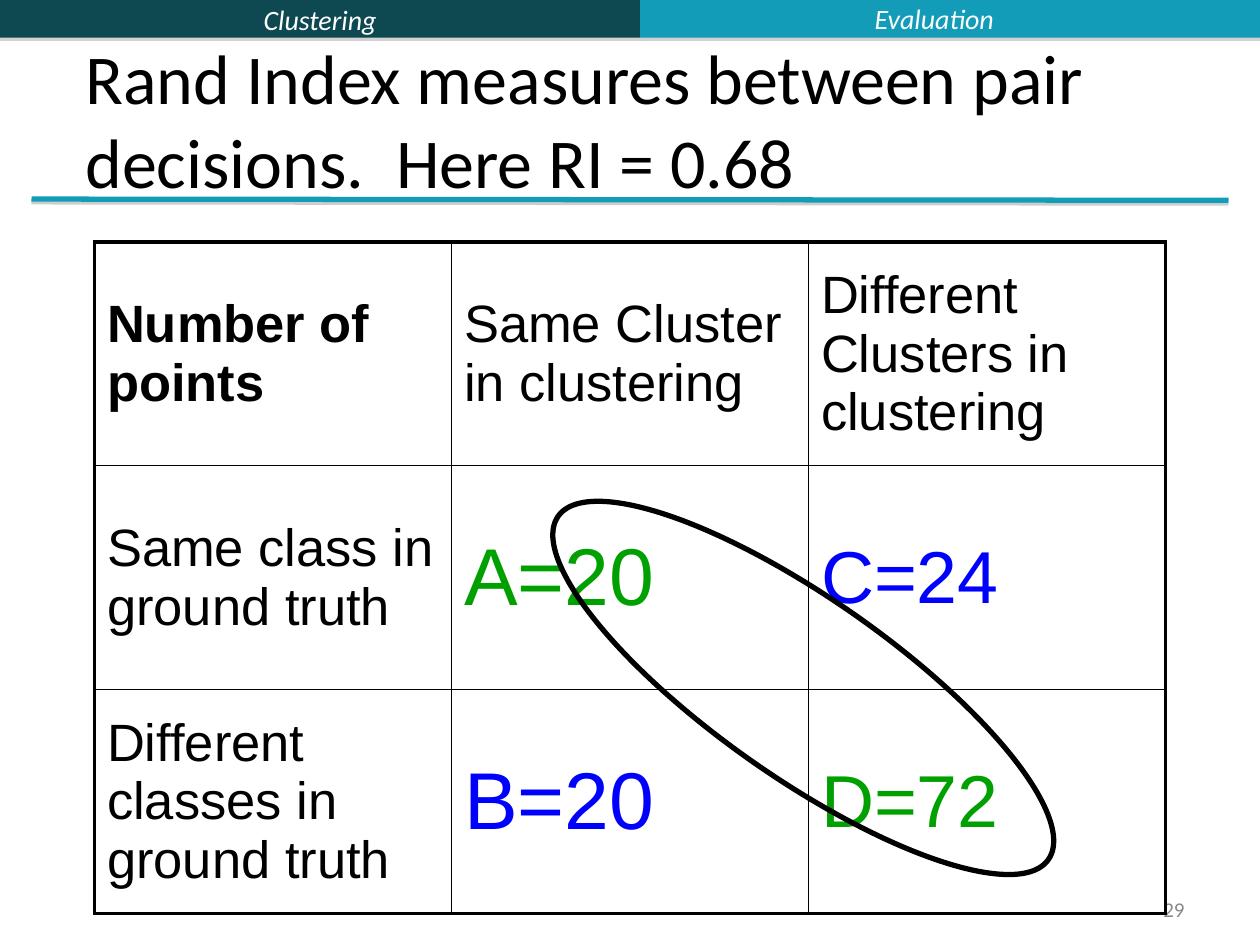
from dataclasses import dataclass, field

from lxml import etree
from pptx import Presentation
from pptx import util as u
from pptx.dml.color import RGBColor
from pptx.enum import shapes, text
from pptx.oxml import ns

BLACK = RGBColor(0x00, 0x00, 0x00)
WHITE = RGBColor(0xFF, 0xFF, 0xFF)
PALE = RGBColor(0xFB, 0xFC, 0xFF)
GRAY = RGBColor(0x89, 0x89, 0x89)
SHADE = RGBColor(0x80, 0x80, 0x80)
DARK_TEAL = RGBColor(0x0E, 0x48, 0x51)
TEAL = RGBColor(0x13, 0x9C, 0xB7)
GREEN = RGBColor(0x00, 0xA0, 0x00)
BLUE = RGBColor(0x00, 0x00, 0xFF)

LEFT, CENTER, RIGHT = text.PP_ALIGN.LEFT, text.PP_ALIGN.CENTER, text.PP_ALIGN.RIGHT
MIDDLE, BOTTOM = text.MSO_ANCHOR.MIDDLE, text.MSO_ANCHOR.BOTTOM
OUTER, INNER = 2.25, 1


@dataclass
class Label:
    words: str
    area: tuple
    font: dict
    align: int = LEFT
    anchor: int = MIDDLE


@dataclass
class Bar:
    left: float
    width: float
    color: RGBColor


@dataclass
class Entry:
    words: str
    font: dict = field(default_factory=dict)


def lengths(values: tuple) -> list:
    return [u.Inches(value) for value in values]


def write(frame, words: str, font: dict, align: int = LEFT) -> None:
    para = frame.paragraphs[0]
    para.alignment = align
    span = para.add_run()
    span.text = words
    for name, value in font.items():
        if name == "color":
            span.font.color.rgb = value
        else:
            setattr(span.font, name, value)


def add_label(page, label: Label) -> None:
    frame = page.shapes.add_textbox(*lengths(label.area)).text_frame
    frame.word_wrap = True
    frame.vertical_anchor = label.anchor
    write(frame, label.words, label.font, label.align)


def add_shadow(shape, alpha: int, distance: float) -> None:
    props = shape._element.spPr
    for old in props.findall(ns.qn("a:effectLst")):
        props.remove(old)
    effects = etree.SubElement(props, ns.qn("a:effectLst"))
    shadow = etree.SubElement(effects, ns.qn("a:outerShdw"), blurRad="0",
                              dist=str(u.Pt(distance)), dir="5400000", rotWithShape="0")
    color = etree.SubElement(shadow, ns.qn("a:srgbClr"), val=str(SHADE))
    etree.SubElement(color, ns.qn("a:alpha"), val=str(alpha * 1000))


def add_bar(page, bar: Bar) -> None:
    shape = page.shapes.add_shape(shapes.MSO_SHAPE.RECTANGLE,
                                  *lengths((bar.left, 0, bar.width, 0.3)))
    shape.fill.solid()
    shape.fill.fore_color.rgb = bar.color
    shape.line.fill.background()
    add_shadow(shape, 35, 1.8)


def add_rule(page) -> None:
    rule = page.shapes.add_connector(shapes.MSO_CONNECTOR.STRAIGHT,
                                     *lengths((0.25, 1.58, 9.75, 1.59)))
    rule.line.color.rgb = TEAL
    rule.line.width = u.Pt(3)
    add_shadow(rule, 38, 1.6)


def set_borders(cell, widths: dict) -> None:
    props = cell._tc.get_or_add_tcPr()
    for index, (side, width) in enumerate(widths.items()):
        edge = etree.Element(ns.qn(f"a:{side}"), w=str(u.Pt(width)))
        fill = etree.SubElement(edge, ns.qn("a:solidFill"))
        etree.SubElement(fill, ns.qn("a:srgbClr"), val=str(BLACK))
        props.insert(index, edge)


def add_pair_table(page, rows: list) -> None:
    count = len(rows)
    table = page.shapes.add_table(count, count, *lengths((0.75, 1.92, 8.5, 5.33))).table
    table.first_row = table.horz_banding = False
    for column in table.columns:
        column.width = u.Inches(8.5 / count)
    for r, row in enumerate(rows):
        table.rows[r].height = u.Inches(5.33 / count)
        for c, entry in enumerate(row):
            cell = table.cell(r, c)
            cell.fill.background()
            cell.vertical_anchor = MIDDLE
            base = {"name": "Arial", "size": u.Pt(30), "color": BLACK, "bold": False}
            write(cell.text_frame, entry.words, base | entry.font)
            set_borders(cell, {
                "lnL": OUTER if c == 0 else INNER,
                "lnR": OUTER if c == count - 1 else INNER,
                "lnT": OUTER if r == 0 else INNER,
                "lnB": OUTER if r == count - 1 else INNER,
            })


def add_agreement_ring(page) -> None:
    ring = page.shapes.add_shape(shapes.MSO_SHAPE.OVAL, *lengths((4, 4.75, 4.75, 1.42)))
    ring.shadow.inherit = False
    ring.rotation = 35
    ring.fill.background()
    ring.line.color.rgb = BLACK
    ring.line.width = u.Pt(3)


def calibri(size: int, color: RGBColor, italic: bool = False) -> dict:
    return {"name": "Calibri", "size": u.Pt(size), "color": color, "italic": italic}


def count_font(size: int, color: RGBColor) -> dict:
    return {"size": u.Pt(size), "color": color}


BARS = [Bar(0, 5.08, DARK_TEAL), Bar(5.08, 4.92, TEAL)]
LABELS = [
    Label("Clustering", (0, 0, 5.08, 0.3), calibri(16, WHITE, True), CENTER),
    Label("29", (7.17, 7.08, 2.33, 0.27), calibri(12, GRAY), RIGHT),
    Label("Rand Index measures between pair decisions.  Here RI = 0.68",
          (0.58, 0.58, 8.83, 1.08), calibri(40, BLACK), LEFT, BOTTOM),
    Label("Evaluation", (4.83, -0.04, 5.17, 0.37), calibri(16, PALE, True), CENTER),
]
PAIRS = [
    [Entry("Number of points", {"bold": True}), Entry("Same Cluster in clustering"),
     Entry("Different Clusters in clustering")],
    [Entry("Same class in ground truth"), Entry("A=20", count_font(46, GREEN)),
     Entry("C=24", count_font(42, BLUE))],
    [Entry("Different classes in ground truth"), Entry("B=20", count_font(46, BLUE)),
     Entry("D=72", count_font(42, GREEN))],
]


def main() -> None:
    deck = Presentation()
    deck.slide_width, deck.slide_height = lengths((10, 7.5))
    page = deck.slides.add_slide(deck.slide_layouts[6])
    for bar in BARS:
        add_bar(page, bar)
    add_rule(page)
    for label in LABELS:
        add_label(page, label)
    add_pair_table(page, PAIRS)
    add_agreement_ring(page)
    deck.save("out.pptx")


if __name__ == "__main__":
    main()
